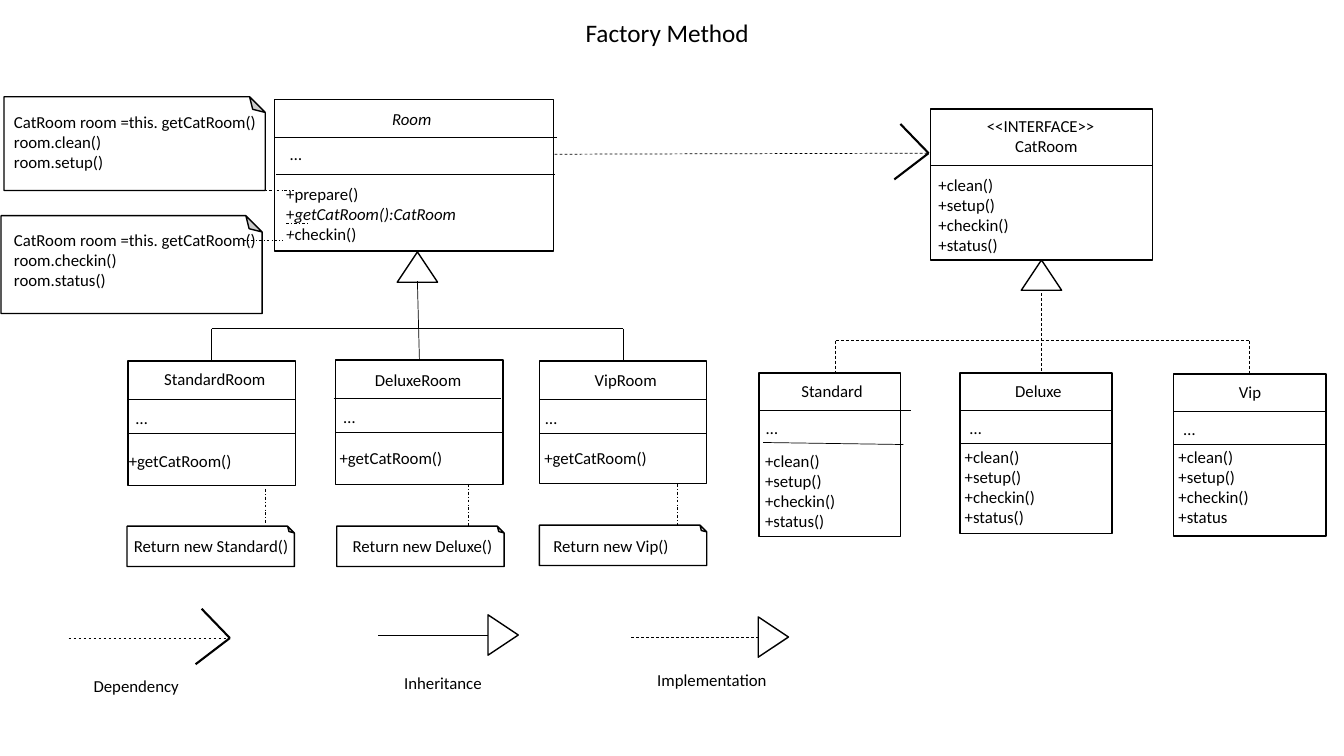
from lxml import etree
from pptx import Presentation
from pptx import util as u
from pptx.dml.color import RGBColor
from pptx.enum import dml, shapes, text
from pptx.oxml.ns import qn

BLACK = RGBColor(0, 0, 0)
WHITE = RGBColor(255, 255, 255)
CELL = u.Inches(0.1)
FONT = {"name": "Calibri", "size": u.Pt(12)}
DASH = dml.MSO_LINE.DASH
DOT = dml.MSO_LINE.DASH_DOT
KIND = shapes.MSO_SHAPE
DOTS = ["…"]
CALLS = ["+clean()", "+setup()", "+checkin()", "+status()"]
MAKE = ["+getCatRoom()"]

ROOMS = [
    ("StandardRoom", (12.7, 35.8, 16.6, 12.4), 0, (2.6, 0.3), (-0.2, 4.2), (-0.9, 8.4)),
    ("DeluxeRoom", (33.3, 35.7, 16.6, 12.4), -0.2, (2.9, 0.5), (-0.2, 4.2), (-0.6, 8.2)),
    ("VipRoom", (53.5, 35.8, 16.6, 12.2), 0, (4.5, 0.4), (-0.4, 4.2), (-0.5, 8.1)),
]
CATS = [
    ("Standard", (75.3, 37, 14, 16.2), (0.4, 6.9, 14.3, 7.1), 3.2, (-0.4, 7.2), CALLS),
    ("Deluxe", (95.2, 37, 15.1, 15.9), (0, 7, 15.2, 7), 4.5, (-0.5, 6.8), CALLS),
    ("Vip", (116.4, 37.1, 15.1, 16.1), (0, 7, 15.2, 7), 5.5, (-0.5, 6.7),
     CALLS[:3] + ["+status"]),
]
NOTES = [
    ((0.4, 9.6, 25.9, 9.3), (0, 1), 28.1,
     ["CatRoom room =this. getCatRoom()", "room.clean()", "room.setup()"]),
    ((0.1, 21.4, 25.9, 9.7), (0.3, 0.9), 26.8,
     ["CatRoom room =this. getCatRoom()", "room.checkin()", "room.status()"]),
    ((12.6, 52.2, 16.6, 4), (-0.3, 0.5), 17.7, ["Return new Standard()"]),
    ((33.4, 52.2, 16.6, 4), (0.6, 0.5), 17.7, ["Return new Deluxe()"]),
    ((53.5, 52.1, 16.6, 4), (0.4, 0.6), 17.7, ["Return new Vip()"]),
]
LINKS = [
    (25.1, 18.9, 29.2, 18.9), (28.4, 22.2, 30.7, 22.2), (24.1, 23.8, 28.1, 23.8),
    (26.3, 48.5, 26.3, 52.1), (46.5, 48, 46.5, 52.2), (67.2, 48, 67.2, 52.2),
]


def grid(*cells):
    """Turn grid cells into slide lengths."""
    return [int(cell * CELL) for cell in cells]


def label(slide, box, lines, size=12, wrap=True):
    """Write lines in a box; parts between underscores are italic."""
    frame = slide.shapes.add_textbox(*grid(*box)).text_frame
    frame.word_wrap = wrap
    for row, line in enumerate(lines):
        para = frame.paragraphs[0] if row == 0 else frame.add_paragraph()
        for turn, part in enumerate(line.split("_")):
            if part:
                run = para.add_run()
                run.text = part
                look = {**FONT, "size": u.Pt(size), "italic": turn % 2 == 1}
                for key, value in look.items():
                    setattr(run.font, key, value)
                run.font.color.rgb = BLACK


def line(slide, ends, width=0.5, dash=None):
    """Draw a straight line between two grid points."""
    link = slide.shapes.add_connector(shapes.MSO_CONNECTOR.STRAIGHT, *grid(*ends))
    etree.SubElement(link.line._get_or_add_ln().getparent(), qn("a:effectLst"))
    link.line.color.rgb = BLACK
    for key, value in {"width": u.Pt(width), "dash_style": dash}.items():
        setattr(link.line, key, value)
    return link


def block(slide, kind, box, turn=0):
    """Draw a white shape with a black outline."""
    shape = slide.shapes.add_shape(kind, *grid(*box))
    shape.shadow.inherit = False
    shape.rotation = turn
    shape.fill.solid()
    shape.fill.fore_color.rgb = WHITE
    shape.line.color.rgb = BLACK
    shape.line.width = u.Pt(1)
    return shape


def entry(slide, box, cuts, parts):
    """Draw a class box with its cuts and texts."""
    x, y = box[:2]
    shape = block(slide, KIND.RECTANGLE, box)
    for a, b, c, d in cuts:
        line(slide, (x + a, y + b, x + c, y + d))
    for dx, dy, wide, lines in parts:
        label(slide, (x + dx, y + dy, wide, 1 + 2 * len(lines)), lines)
    return shape


def note(slide, box, shift, wide, lines):
    """Draw a note with its folded corner at the top right."""
    shape = block(slide, KIND.FOLDED_CORNER, box, 180)
    shape._element.spPr.find(qn("a:xfrm")).set("flipH", "1")
    spot = (box[0] + shift[0], box[1] + shift[1], wide, 1 + 2 * len(lines))
    label(slide, spot, lines)


def tree(slide, tip, gap, bar, spots, kids, dash=None):
    """Join child boxes to the triangle below their parent."""
    x, y = tip
    block(slide, KIND.ISOSCELES_TRIANGLE, (x - 2, y, 4, 3))
    line(slide, (spots[0], bar, spots[2], bar), dash=dash)
    tops = [(x, y + gap) if n == 1 else (spot, bar) for n, spot in enumerate(spots)]
    for top, spot, kid in zip(tops, spots, kids):
        link = line(slide, (*top, spot, kid.top / CELL), dash=dash)
        middle = (kid.left + kid.width / 2) / CELL
        if abs(middle - spot) < 0.1:
            link.end_connect(kid, 0)


def depend(slide, ends):
    """Draw a dashed line with an open arrowhead."""
    x, y = ends[2:]
    line(slide, ends, dash=DASH)
    for dx, dy in [(-2.8, -2.9), (-3.4, 2.6)]:
        line(slide, (x + dx, y + dy, x, y), 1.5)


def legend(slide, box):
    """Explain the three kinds of arrows."""
    x, y = box[:2]
    depend(slide, (x, y + 2.8, x + 16, y + 2.8))
    for left, right, row, dash in [(30.7, 41.6, 2.5, None), (55.8, 68.4, 2.7, DASH)]:
        line(slide, (x + left, y + row, x + right, y + row), dash=dash)
        block(slide, KIND.ISOSCELES_TRIANGLE, (x + right - 0.5, y + row - 1.5, 4, 3), 90)
    for dx, dy, name in [(1.5, 6, "Dependency"), (32.3, 5.7, "Inheritance"),
                         (57.4, 5.5, "Implementation")]:
        label(slide, (x + dx, y + dy, 13.4, 3), [name])


def rooms(slide, box):
    """Draw the creator class and its children."""
    entry(slide, box, [(0.1, 3.7, 28, 3.7), (0.2, 7.4, 27.8, 7.4)], [
        (10.7, 0.4, 18.6, ["_Room_"]), (0.6, 3.9, 13.4, DOTS),
        (0.2, 7.8, 19.8, ["+prepare()", "+_getCatRoom():CatRoom_", "_+_checkin()"])])
    kids = []
    for name, spot, lean, head, mid, low in ROOMS:
        wide = spot[2]
        cuts = [(lean, 3.8, wide + lean, 3.8), (0, 7.2, wide, 7.2)]
        parts = [(*head, 17, [name]), (*mid, 13.4, DOTS), (*low, 19.8, MAKE)]
        kids.append(entry(slide, spot, cuts, parts))
    spots = [(kid.left + kid.width / 2) / CELL for kid in kids]
    tree(slide, (box[0] + 14.2, box[1] + box[3] + 0.1), 2.9, 32.6, spots, kids)


def cats(slide, box):
    """Draw the product interface and its children."""
    entry(slide, box, [(0, 5.6, box[2], 5.6)], [
        (4.6, 0.2, 14.4, ["<<INTERFACE>>"]), (7.4, 2.2, 14.4, ["CatRoom"]),
        (-0.2, 6, 14.4, CALLS)])
    kids = []
    for name, spot, cut, head, low, calls in CATS:
        dot = -0.3 if name == "Standard" else 0
        parts = [(head, 0.3, 9, [name]), (dot, 4, 13.4, DOTS), (*low, 14.4, calls)]
        kids.append(entry(slide, spot, [(0, 3.7, 15.1, 3.7), cut], parts))
    tip = (box[0] + 11, box[1] + box[3])
    tree(slide, tip, 3.3, 33.8, (82.9, 103.3, 123.95), kids, DASH)


def main():
    """Build and save the class diagram."""
    deck = Presentation()
    deck.slide_width, deck.slide_height = u.Inches(13.33), u.Inches(7.5)
    slide = deck.slides.add_slide(deck.slide_layouts[6])
    label(slide, (57.1, 1.2, 18.4, 4), ["Factory Method"], 18, False)
    rooms(slide, (27.2, 9.9, 27.7, 15))
    cats(slide, (92.3, 10.8, 22, 15))
    for item in NOTES:
        note(slide, *item)
    for ends in LINKS:
        line(slide, ends, dash=DOT)
    depend(slide, (55, 15.3, 92.1, 15.2))
    legend(slide, (6.8, 60.5, 75, 10))
    deck.save("out.pptx")


if __name__ == "__main__":
    main()
